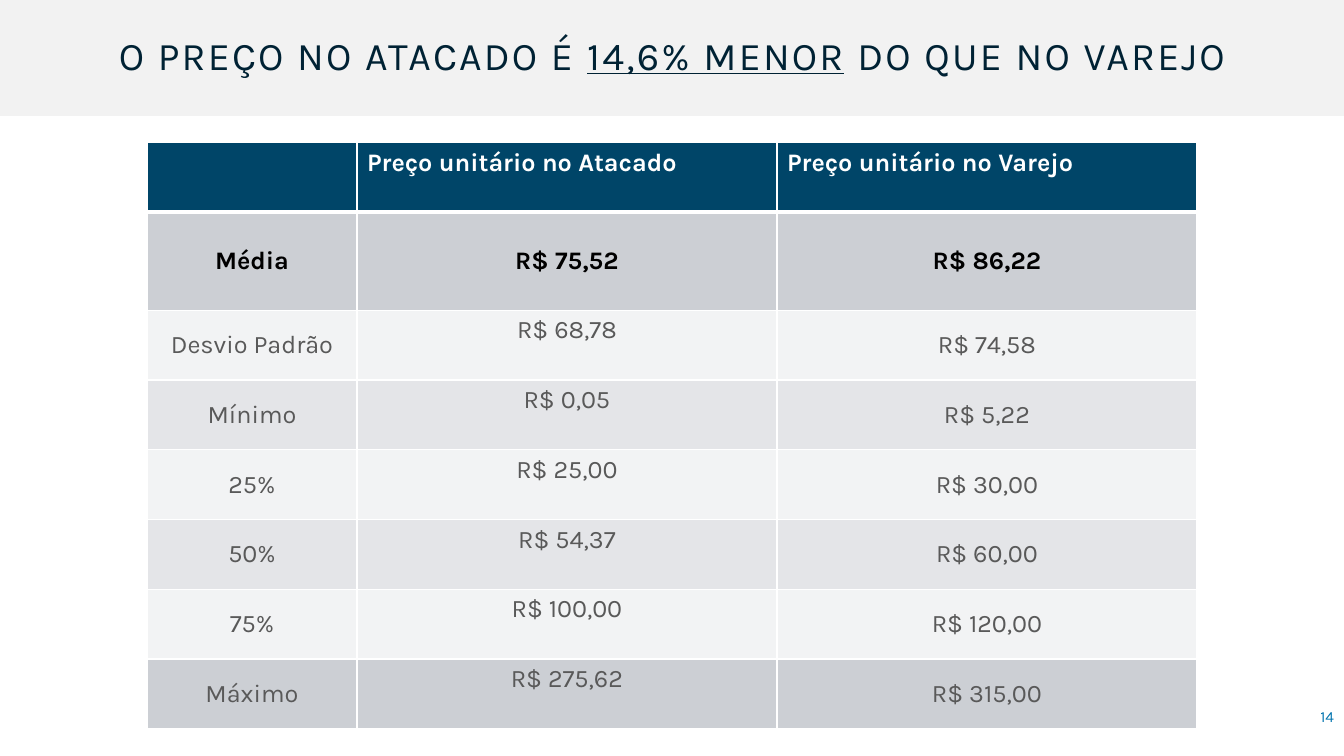
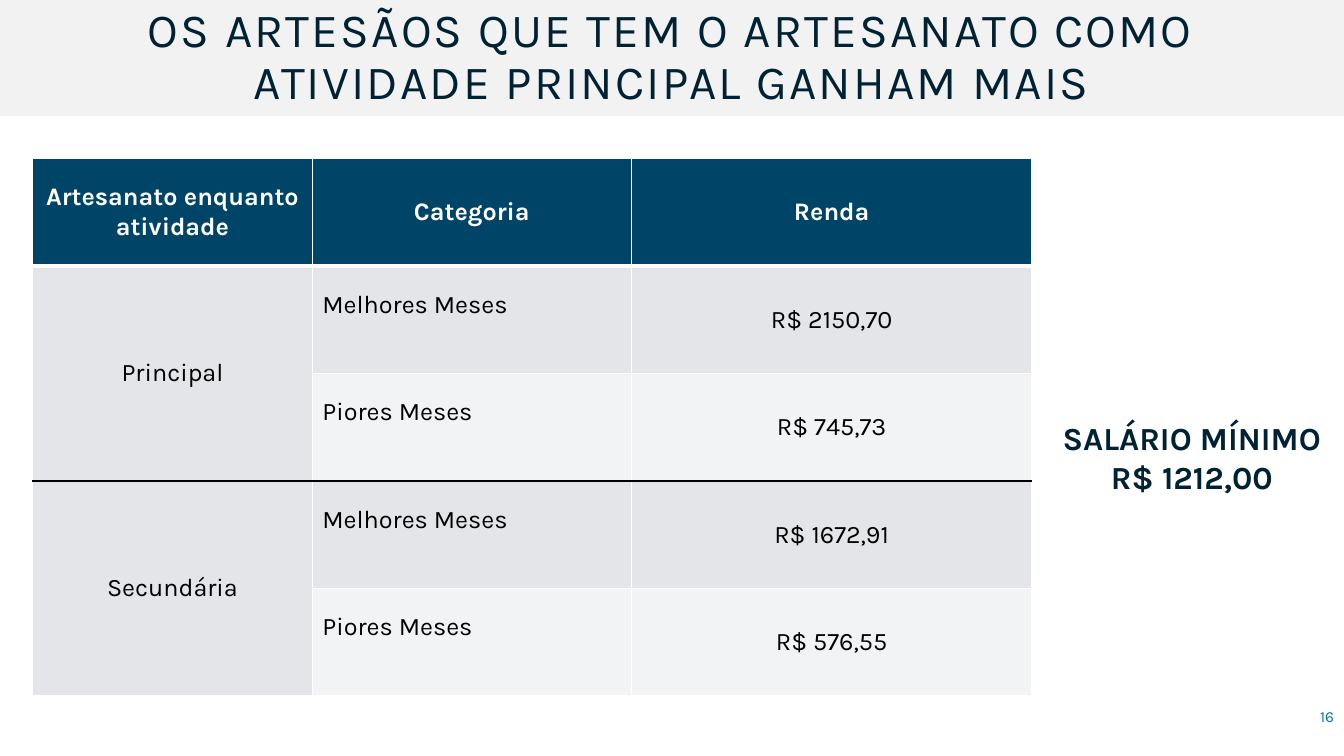
from lxml import etree
from pptx import Presentation
from pptx.dml.color import RGBColor
from pptx.enum.shapes import MSO_SHAPE
from pptx.enum.text import MSO_ANCHOR, PP_ALIGN
from pptx.oxml.ns import qn
from pptx.util import Pt

RECTANGLE = MSO_SHAPE.RECTANGLE
TOP, MIDDLE = MSO_ANCHOR.TOP, MSO_ANCHOR.MIDDLE
LEFT, CENTER, RIGHT = PP_ALIGN.LEFT, PP_ALIGN.CENTER, PP_ALIGN.RIGHT

FONT = "Karla"
SLIDE_WIDTH, SLIDE_HEIGHT = 960, 540
BAND_HEIGHT = 82.8
BLANK_LAYOUT = 6
RAISED_MARGIN = 24.6
COLORS = {
    "band": "F2F2F2",
    "title": "002234",
    "page": "0074AF",
    "header": "004568",
    "dark_row": "CCCFD4",
    "light_row": "E7E9EB",
    "white": "FFFFFF",
    "black": "000000",
    "gray": "595959",
}
# Cell fills: colour name and opacity in percent
HEADER = ("header", 100)
STRONG = ("dark_row", 100)
DARK = ("dark_row", 52)
LIGHT = ("light_row", 52)

PRICE_ROWS = [
    ("", "Preço unitário no Atacado", "Preço unitário no Varejo"),
    ("Média", "R$ 75,52", "R$ 86,22"),
    ("Desvio Padrão", "R$ 68,78", "R$ 74,58"),
    ("Mínimo", "R$ 0,05", "R$ 5,22"),
    ("25%", "R$ 25,00", "R$ 30,00"),
    ("50%", "R$ 54,37", "R$ 60,00"),
    ("75%", "R$ 100,00", "R$ 120,00"),
    ("Máximo", "R$ 275,62", "R$ 315,00"),
]
INCOME_ROWS = [
    ("Artesanato enquanto atividade", "Categoria", "Renda"),
    ("Principal", "Melhores Meses", "R$ 2150,70"),
    ("", "Piores Meses", "R$ 745,73"),
    ("Secundária", "Melhores Meses", "R$ 1672,91"),
    ("", "Piores Meses", "R$ 576,55"),
]


def rgb(name):
    return RGBColor.from_string(COLORS[name])


def style_paragraph(paragraph, size, color, bold=False, alignment=CENTER):
    paragraph.alignment = alignment
    font = paragraph.font
    font.name, font.size, font.bold = FONT, Pt(size), bold
    font.color.rgb = rgb(color)


def add_title(slide, segments, size):
    """Fill the top band with (text, underlined) segments."""
    band = slide.shapes.add_shape(RECTANGLE, 0, 0, Pt(SLIDE_WIDTH), Pt(BAND_HEIGHT))
    band.shadow.inherit = False
    band.fill.solid()
    band.fill.fore_color.rgb = rgb("band")
    band.line.fill.background()
    frame = band.text_frame
    frame.word_wrap = True
    frame.vertical_anchor = MIDDLE
    frame.margin_left = frame.margin_right = Pt(36)
    paragraph = frame.paragraphs[0]
    paragraph.line_spacing = 0.9
    style_paragraph(paragraph, size, "title")
    for text, underlined in segments:
        run = paragraph.add_run()
        run.text = text
        run.font.underline = underlined
        run._r.get_or_add_rPr().set("spc", "160")


def add_text(slide, box, lines, size, color, bold=False, alignment=CENTER, anchor=TOP):
    shape = slide.shapes.add_textbox(*map(Pt, box))
    frame = shape.text_frame
    frame.word_wrap = True
    frame.vertical_anchor = anchor
    for index, line in enumerate(lines):
        paragraph = frame.add_paragraph() if index else frame.paragraphs[0]
        paragraph.text = line
        style_paragraph(paragraph, size, color, bold, alignment)


def add_page_number(slide, number):
    add_text(slide, (744, 497.5, 216, 29), [str(number)], 11, "page",
             alignment=RIGHT, anchor=MIDDLE)


def set_border(cell, side, color, width):
    line = etree.SubElement(cell._tc.get_or_add_tcPr(), qn(f"a:ln{side}"),
                            w=str(Pt(width)))
    fill = etree.SubElement(line, qn("a:solidFill"))
    etree.SubElement(fill, qn("a:srgbClr"), val=COLORS[color])


def set_fill(cell, color, opacity):
    cell.fill.solid()
    cell.fill.fore_color.rgb = rgb(color)
    if opacity < 100:
        color_element = cell._tc.tcPr.find(f"{qn('a:solidFill')}/{qn('a:srgbClr')}")
        etree.SubElement(color_element, qn("a:alpha"), val=str(opacity * 1000))


def add_grid(slide, corner, widths, heights, rows, fills, merges=(), divider=None):
    """Add a table; divider is the row boundary drawn in black."""
    size = (sum(widths), sum(heights))
    table = slide.shapes.add_table(len(rows), len(widths),
                                   *map(Pt, corner + size)).table
    table.first_row = table.horz_banding = False
    for column, width in zip(table.columns, widths):
        column.width = Pt(width)
    for row, height in zip(table.rows, heights):
        row.height = Pt(height)
    for first, last in merges:
        table.cell(first, 0).merge(table.cell(last, 0))

    rules = {1: ("white", 3), divider: ("black", 1)}
    for row_index, texts in enumerate(rows):
        for column_index, text in enumerate(texts):
            cell = table.cell(row_index, column_index)
            bottom = row_index + cell.span_height
            set_border(cell, "L", "white", 1)
            set_border(cell, "R", "white", 1)
            set_border(cell, "T", *rules.get(row_index, ("white", 1)))
            set_border(cell, "B", *rules.get(bottom, ("white", 1)))
            set_fill(cell, *fills[row_index])
            cell.vertical_anchor = MIDDLE
            cell.text = text
    return table


def style_cells(table, body_color, raised_from, bold_rows=(0,)):
    """Style all text; the middle column sits higher from row raised_from on."""
    for row_index, row in enumerate(table.rows):
        color = "white" if row_index == 0 else body_color
        for column_index, cell in enumerate(row.cells):
            style_paragraph(cell.text_frame.paragraphs[0], 18, color,
                            row_index in bold_rows)
            if column_index == 1 and row_index >= raised_from:
                cell.margin_bottom = Pt(RAISED_MARGIN)


def build_price_slide(slide):
    add_title(slide, [("O PREÇO NO ATACADO É ", False), ("14,6% MENOR", True),
                      (" DO QUE NO VAREJO", False)], 28)
    add_page_number(slide, 14)
    table = add_grid(slide, (105, 102), [150, 300, 300],
                     [49.7, 70] + [49.7] * 6, PRICE_ROWS,
                     [HEADER, STRONG, LIGHT, DARK, LIGHT, DARK, LIGHT, STRONG])
    style_cells(table, "gray", raised_from=2, bold_rows=(0, 1))
    for cell in table.rows[0].cells:
        cell.vertical_anchor = TOP
        cell.text_frame.paragraphs[0].alignment = LEFT
    for cell in table.rows[1].cells:
        cell.text_frame.paragraphs[0].font.color.rgb = rgb("black")


def build_income_slide(slide):
    add_title(slide, [("OS ARTESÃOS QUE TEM O ARTESANATO COMO ATIVIDADE "
                       "PRINCIPAL GANHAM MAIS", False)], 34)
    add_page_number(slide, 16)
    table = add_grid(slide, (23.3, 113.2), [199.8, 228, 286], [76.8] * 5,
                     INCOME_ROWS, [HEADER, DARK, LIGHT, DARK, LIGHT],
                     merges=[(1, 2), (3, 4)], divider=3)
    style_cells(table, "black", raised_from=1)
    for row_index in range(1, len(INCOME_ROWS)):
        table.cell(row_index, 1).text_frame.paragraphs[0].alignment = LEFT
    add_text(slide, (743.5, 295.2, 216, 63.4), ["SALÁRIO MÍNIMO", "R$ 1212,00"],
             23, "title", bold=True)


def main():
    presentation = Presentation()
    presentation.slide_width = Pt(SLIDE_WIDTH)
    presentation.slide_height = Pt(SLIDE_HEIGHT)
    layout = presentation.slide_layouts[BLANK_LAYOUT]
    for build in (build_price_slide, build_income_slide):
        build(presentation.slides.add_slide(layout))
    presentation.save("out.pptx")


if __name__ == "__main__":
    main()
